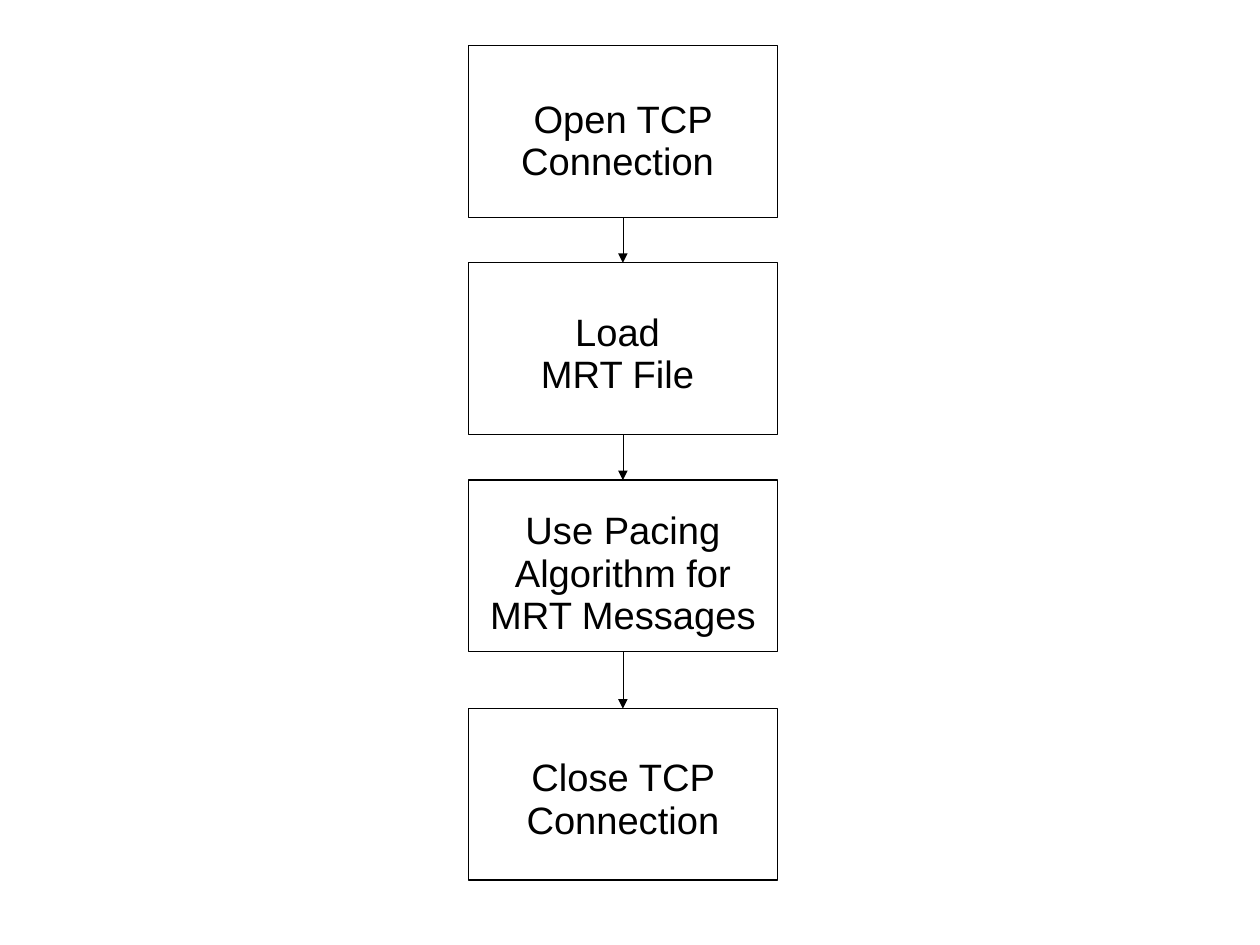
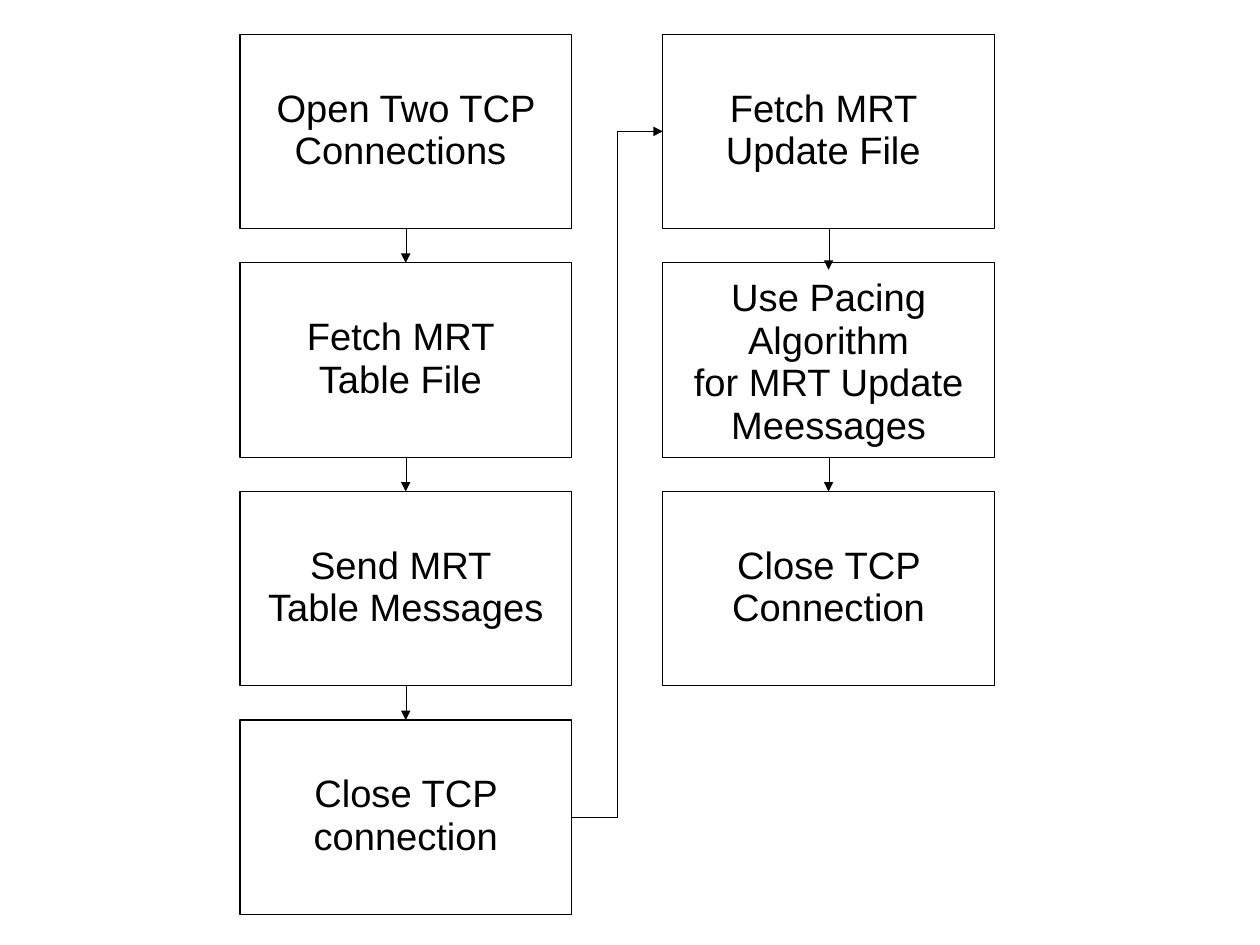
from dataclasses import dataclass
from lxml import etree
from pptx import Presentation
from pptx.dml.color import RGBColor
from pptx.enum.shapes import MSO_CONNECTOR, MSO_SHAPE
from pptx.enum.text import MSO_ANCHOR, PP_ALIGN
from pptx.oxml.ns import qn
from pptx.util import Pt

RECT = MSO_SHAPE.RECTANGLE
STRAIGHT, ELBOW = MSO_CONNECTOR.STRAIGHT, MSO_CONNECTOR.ELBOW
TOP, CENTER = MSO_ANCHOR.TOP, PP_ALIGN.CENTER
SIDE_TOP, SIDE_LEFT, SIDE_BOTTOM, SIDE_RIGHT = range(4)


@dataclass(frozen=True)
class Theme:
    ink: RGBColor = RGBColor(0, 0, 0)
    font: str = "Arial"
    size: float = 24
    spacing: float = 0.93
    border: float = 0.75
    arrow: float = 0
    inset: float = 7.2
    inset_bottom: float = 3.6


THEME = Theme()
SLIDE_SIZE = (793.75, 595.25)

FLOWS = [
    {
        "top": 28.8, "size": (194.4, 108), "gap": 28.8,
        "columns": [
            (295.2, [
                {"lines": ["Open TCP Connection "], "text_top": 33.84},
                {"lines": ["Load ", "MRT File "], "text_top": 30.96},
                {"lines": ["Use Pacing Algorithm for MRT Messages"], "text_top": 19.44},
                {"lines": ["Close TCP Connection"], "text_top": 30.96, "extra_gap": 7.2},
            ]),
        ],
    },
    {
        "top": 21.6, "size": (208.8, 122.4), "gap": 21.6,
        "columns": [
            (151.2, [
                {"lines": ["Open Two TCP Connections "], "text_top": 33.84},
                {"lines": ["Fetch MRT ", "Table File "], "text_top": 33.84},
                {"lines": ["Send MRT ", "Table Messages"], "text_top": 33.84},
                {"lines": ["Close TCP connection"], "text_top": 33.84},
            ]),
            (417.6, [
                {"lines": ["Fetch MRT ", "Update File "], "text_top": 33.84},
                {"lines": ["Use Pacing Algorithm", "for MRT Update Meessages"],
                 "text_top": 9.36, "arrow_dip": 4.32},
                {"lines": ["Close TCP Connection"], "text_top": 33.84},
            ]),
        ],
    },
]


def write(tf, lines, *, text_top, size=THEME.size, color=THEME.ink, align=CENTER):
    tf.word_wrap = True
    tf.vertical_anchor = TOP
    tf.margin_left = tf.margin_right = Pt(THEME.inset)
    tf.margin_top, tf.margin_bottom = Pt(text_top), Pt(THEME.inset_bottom)
    for i, line in enumerate(lines):
        p = tf.paragraphs[0] if i == 0 else tf.add_paragraph()
        p.alignment = align
        p.line_spacing = THEME.spacing
        r = p.add_run()
        r.text = line
        r.font.name, r.font.size = THEME.font, Pt(size)
        r.font.color.rgb = color


def add_step(slide, step, left, top, size):
    sp = slide.shapes.add_shape(RECT, Pt(left), Pt(top), *map(Pt, size))
    sp.shadow.inherit = False
    sp.fill.background()
    sp.line.color.rgb = THEME.ink
    sp.line.width = Pt(THEME.border)
    write(sp.text_frame, step["lines"], text_top=step["text_top"])
    return sp


def add_arrow(slide, kind, start, start_side, end, end_side, dip=0):
    center = end.left + end.width // 2
    cxn = slide.shapes.add_connector(kind, center, start.top + start.height,
                                     center, end.top + Pt(dip))
    cxn.begin_connect(start, start_side)
    if not dip:
        cxn.end_connect(end, end_side)
    cxn.line.color.rgb = THEME.ink
    ln = cxn._element.spPr.find(qn("a:ln"))
    ln.set("w", str(Pt(THEME.arrow).emu))
    etree.SubElement(ln, qn("a:tailEnd"), type="triangle")
    etree.SubElement(cxn._element.spPr, qn("a:effectLst"))


def add_column(slide, flow, left, steps):
    top, boxes = flow["top"], []
    for step in steps:
        top += step.get("extra_gap", 0)
        sp = add_step(slide, step, left, top, flow["size"])
        if boxes:
            add_arrow(slide, STRAIGHT, boxes[-1], SIDE_BOTTOM, sp, SIDE_TOP,
                      dip=step.get("arrow_dip", 0))
        boxes.append(sp)
        top += flow["size"][1] + flow["gap"]
    return boxes


def main():
    prs = Presentation()
    prs.slide_width, prs.slide_height = map(Pt, SLIDE_SIZE)
    for flow in FLOWS:
        slide = prs.slides.add_slide(prs.slide_layouts[6])
        columns = [add_column(slide, flow, left, steps) for left, steps in flow["columns"]]
        for column, following in zip(columns, columns[1:]):
            add_arrow(slide, ELBOW, column[-1], SIDE_RIGHT, following[0], SIDE_LEFT)
    prs.save("out.pptx")


if __name__ == "__main__":
    main()
